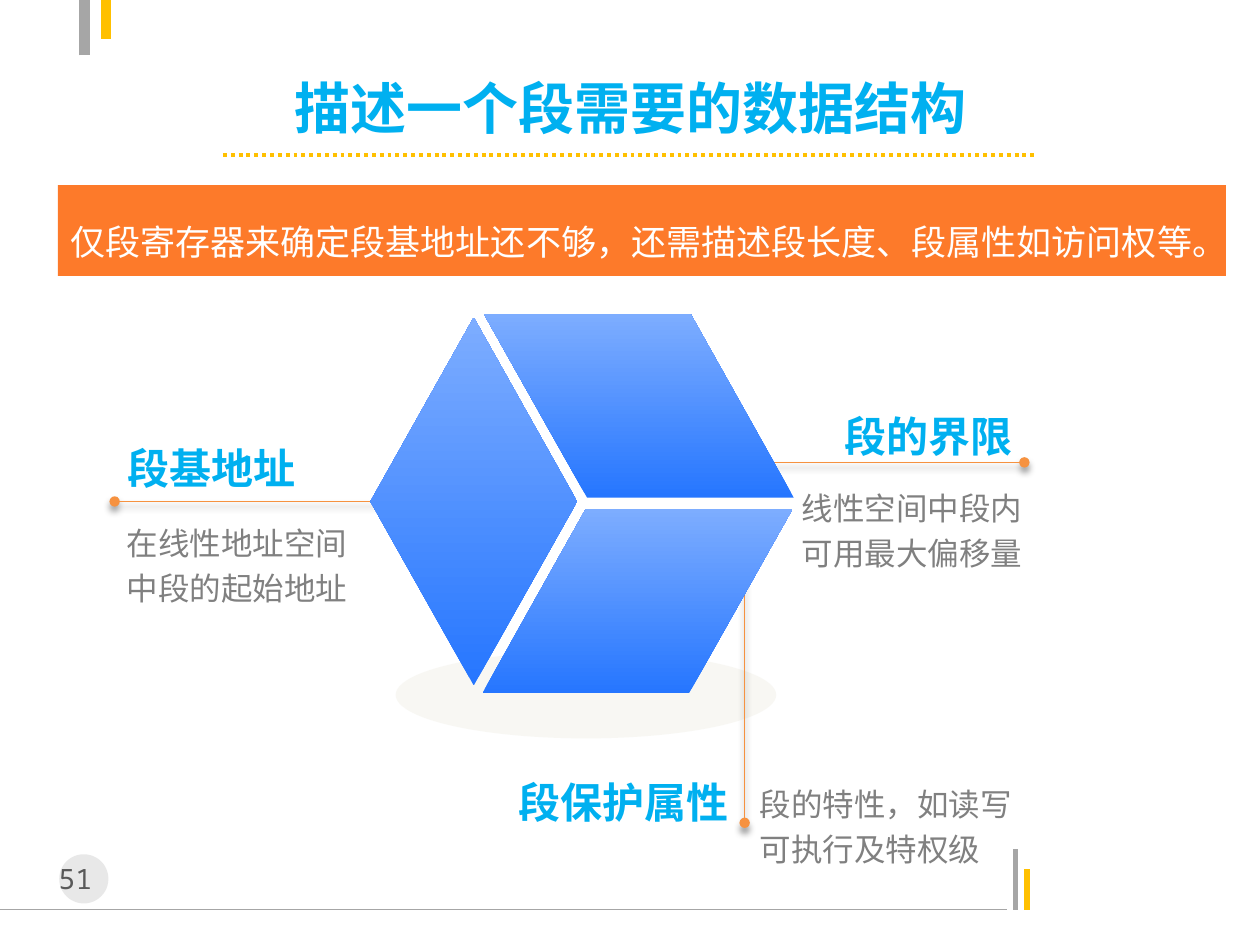
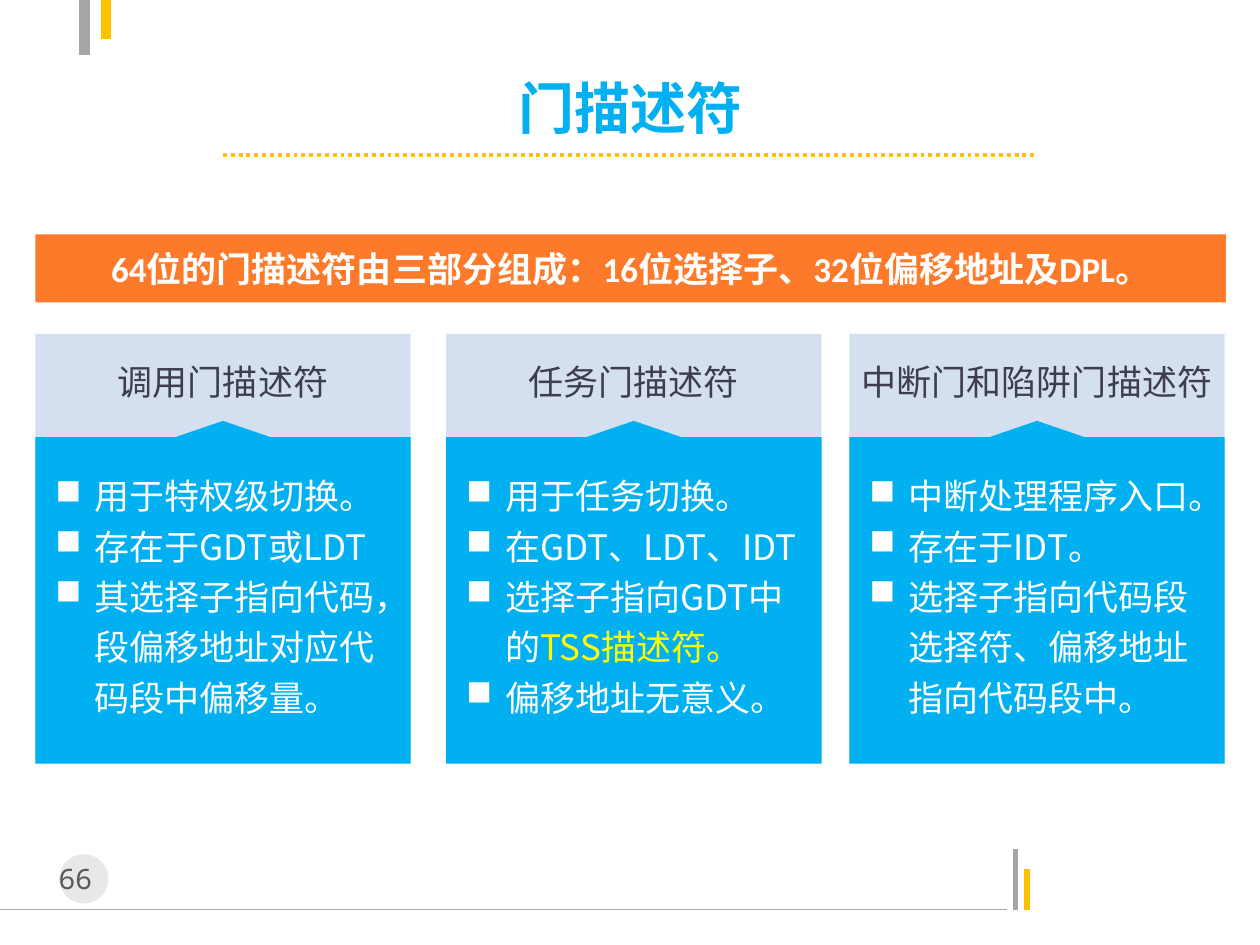
import pptx
import pptx.util
import pptx.dml.color
import pptx.enum.dml
import pptx.enum.shapes
import pptx.enum.text
import pptx.oxml
import pptx.oxml.ns
from lxml import etree

Inches, Pt = pptx.util.Inches, pptx.util.Pt
RGBColor = pptx.dml.color.RGBColor
SHAPE = pptx.enum.shapes.MSO_SHAPE
ALIGN = pptx.enum.text.PP_ALIGN
ANCHOR = pptx.enum.text.MSO_ANCHOR
qn = pptx.oxml.ns.qn

SKY = RGBColor(0x00, 0xB0, 0xF0)
GOLD = RGBColor(0xFF, 0xC0, 0x00)
ORANGE = RGBColor(0xFD, 0x7A, 0x2A)
LEADER = RGBColor(0xF6, 0x92, 0x40)
RULE_GREY = RGBColor(0xA6, 0xA6, 0xA6)
BADGE_GREY = RGBColor(0xBF, 0xBF, 0xBF)
NUMBER_GREY = RGBColor(0x59, 0x59, 0x59)
BODY_GREY = RGBColor(0x80, 0x80, 0x80)
CREAM = RGBColor(0xEE, 0xEC, 0xE1)
STEEL = RGBColor(0x95, 0xB3, 0xD7)
INK = RGBColor(0x3E, 0x3D, 0x4F)
WHITE = RGBColor(0xFF, 0xFF, 0xFF)
YELLOW = RGBColor(0xFF, 0xFF, 0x00)
FACE_DARK = RGBColor(0x26, 0x76, 0xFF)
FACE_LIGHT = RGBColor(0x7D, 0xAD, 0xFF)
CJK, MONO, LATIN = "Noto Sans CJK SC", "Noto Sans Mono", "Calibri"

SHADOW = (
    '<a:effectLst xmlns:a="http://schemas.openxmlformats.org/drawingml/2006/main">'
    '<a:outerShdw blurRad="50800" dist="38100" dir="5400000" rotWithShape="0">'
    '<a:srgbClr val="000000"><a:alpha val="40000"/></a:srgbClr>'
    "</a:outerShdw></a:effectLst>"
)


def style_run(r, size, color, font=CJK, bold=False):
    """Set size, colour, typeface and weight of a run."""
    r.font.size, r.font.bold, r.font.name = Pt(size), bold, font
    r.font.color.rgb = color
    east_asian = etree.SubElement(r.font._element, qn("a:ea"))
    east_asian.set("typeface", CJK)


def write(sp, text, size, color, align=ALIGN.LEFT, spacing=1.0, anchor=ANCHOR.TOP, **look):
    """Write one paragraph into a shape."""
    tf = sp.text_frame
    tf.word_wrap, tf.vertical_anchor = True, anchor
    p = tf.paragraphs[0]
    p.text, p.alignment, p.line_spacing = text, align, spacing
    style_run(p.runs[0], size, color, **look)


def add_text(s, box, text, size, color, **look):
    """Add a text box with one paragraph."""
    write(s.shapes.add_textbox(*map(Inches, box)), text, size, color, **look)


def add_solid(s, kind, box, color, opacity=100):
    """Add a borderless preset shape."""
    sp = s.shapes.add_shape(kind, *map(Inches, box))
    sp.shadow.inherit = False
    sp.line.fill.background()
    sp.fill.solid()
    sp.fill.fore_color.rgb = color
    if opacity < 100:
        rgb = sp._element.spPr.find(qn("a:solidFill"))[0]
        etree.SubElement(rgb, qn("a:alpha")).set("val", str(opacity * 1000))
    return sp


def add_outline(s, left, top, points):
    """Add a borderless closed outline from points relative to left and top."""
    corners = [(Inches(left + x), Inches(top + y)) for x, y in points]
    builder = s.shapes.build_freeform(*corners[0], scale=1.0)
    builder.add_line_segments(corners[1:], close=True)
    sp = builder.convert_to_shape()
    sp.shadow.inherit = False
    sp.line.fill.background()
    return sp


def add_line(s, ends, color, width, leader=False):
    """Add a straight line, with round ends and a shadow for a leader."""
    line = s.shapes.add_connector(pptx.enum.shapes.MSO_CONNECTOR.STRAIGHT, *map(Inches, ends))
    line.line.color.rgb, line.line.width = color, Pt(width)
    spPr = line._element.spPr
    if leader:
        for end in ("a:headEnd", "a:tailEnd"):
            etree.SubElement(spPr.find(qn("a:ln")), qn(end)).set("type", "oval")
        spPr.append(pptx.oxml.parse_xml(SHADOW))
    else:
        etree.SubElement(spPr, qn("a:effectLst"))
    return line


def add_frame(s, number):
    """Draw the corner bars, the footer rule and the page number."""
    for ends, color, width in [
        ((0, 7.22, 7.99, 7.22), RULE_GREY, 0.75),
        ((8.06, 7.22, 8.06, 6.74), RULE_GREY, 3),
        ((8.15, 7.22, 8.15, 6.9), GOLD, 3),
        ((0.67, 0.44, 0.67, 0), RULE_GREY, 6),
        ((0.84, 0, 0.84, 0.31), GOLD, 6),
    ]:
        add_line(s, ends, color, width)
    add_solid(s, SHAPE.OVAL, (0.47, 6.78, 0.39, 0.39), BADGE_GREY, 35)
    add_text(s, (0.31, 6.79, 0.71, 0.37), f"{number} ", 16, NUMBER_GREY,
             align=ALIGN.CENTER, font=MONO)


def add_title(s, text):
    """Write the slide title above its dotted rule."""
    add_text(s, (1.38, 0.6, 7.25, 0.5), text, 32, SKY,
             align=ALIGN.CENTER, anchor=ANCHOR.MIDDLE, bold=True)
    rule = add_line(s, (1.77, 1.23, 8.23, 1.23), GOLD, 2.25)
    rule.line.dash_style = pptx.enum.dml.MSO_LINE.ROUND_DOT


def add_banner(s, box, text, **look):
    """Draw the orange statement band."""
    banner = add_solid(s, SHAPE.RECTANGLE, box, ORANGE)
    write(banner, text, 20, WHITE, anchor=ANCHOR.MIDDLE, **look)


def add_callout(s, line, heading_box, heading, body_box, body, heading_align, body_align):
    """Draw a leader line with its heading and explanation."""
    add_line(s, line, LEADER, 0.75, leader=True)
    add_text(s, heading_box, heading, 24, SKY, align=heading_align, spacing=1.2, bold=True)
    add_text(s, body_box, body, 18, BODY_GREY, align=body_align, spacing=1.2)


def add_cube(s, left, top):
    """Draw the three shaded faces of the cube."""
    slant, edge, rise = 0.82, 1.64, 1.46
    upper = [(0, 0), (slant, rise), (slant + edge, rise), (edge, 0)]
    side = [(0, rise), (slant, 2 * rise), (edge, rise), (slant, 0)]
    lower = [(x, rise - y) for x, y in upper]
    for dx, dy, points in [(0.9, 0, upper), (0, 0.03, side), (0.89, 1.55, lower)]:
        face = add_outline(s, left + dx, top + dy, points)
        face.fill.gradient()
        face.fill.gradient_angle = 90
        for stop, color in zip(face.fill.gradient_stops, (FACE_DARK, FACE_LIGHT)):
            stop.color.rgb = color


def add_bullet(p, runs):
    """Fill a paragraph with a square bullet and coloured runs."""
    p.line_spacing, p.alignment = 1.2, ALIGN.LEFT
    pPr = p._p.get_or_add_pPr()
    pPr.set("marL", str(Inches(0.31)))
    pPr.set("indent", str(-Inches(0.31)))
    etree.SubElement(pPr, qn("a:buChar")).set("char", "■")
    for text, color in runs:
        r = p.add_run()
        r.text = text
        style_run(r, 20, color)


def add_gate_card(s, left, top, heading, bullets):
    """Draw a pale card with a heading and a notched panel of bullets."""
    width, height, panel_top, notch = 2.98, 3.41, 0.69, 0.13
    add_solid(s, SHAPE.RECTANGLE, (left, top, width, height), STEEL, 40)
    bottom = height - panel_top
    panel = add_outline(s, left, top + panel_top, [
        (1.49, 0), (1.87, notch), (width, notch), (width, bottom),
        (0, bottom), (0, notch), (1.11, notch)])
    panel.fill.solid()
    panel.fill.fore_color.rgb = SKY
    tf = panel.text_frame
    tf.word_wrap, tf.vertical_anchor = True, ANCHOR.MIDDLE
    tf.margin_left = tf.margin_right = Inches(0.16)
    for i, runs in enumerate(bullets):
        add_bullet(tf.add_paragraph() if i else tf.paragraphs[0], runs)
    add_text(s, (left, top + 0.16, width, 0.44), heading, 20, INK, align=ALIGN.CENTER)


def build_segment_slide(s):
    """Show the three parts that describe a segment."""
    add_frame(s, 51)
    add_solid(s, SHAPE.OVAL, (3.14, 5.17, 3.02, 0.69), CREAM, 37)
    left, right = ALIGN.LEFT, ALIGN.RIGHT
    add_callout(s, (5.91, 4.22, 5.91, 6.53), (3.99, 6.03, 1.89, 0.54), "段保护属性",
                (5.93, 6.12, 2.29, 0.83), "段的特性，如读写可执行及特权级", right, left)
    add_callout(s, (5.75, 3.67, 8.13, 3.67), (6.24, 3.13, 1.89, 0.54), "段的界限",
                (6.24, 3.77, 1.97, 0.8), "线性空间中段内可用最大偏移量", right, right)
    add_callout(s, (3.19, 3.98, 0.91, 3.98), (0.91, 3.38, 1.89, 0.54), "段基地址",
                (0.91, 4.05, 1.97, 0.83), "在线性地址空间中段的起始地址", left, left)
    add_cube(s, 2.94, 2.49)
    add_title(s, "描述一个段需要的数据结构")
    add_banner(s, (0.46, 1.47, 9.27, 0.72),
               "仅段寄存器来确定段基地址还不够，还需描述段长度、段属性如访问权等。", spacing=1.5)


def build_gate_slide(s):
    """Compare the gate descriptors in three cards."""
    add_frame(s, 66)
    cards = [
        (0.28, "调用门描述符", [
            [("用于特权级切换。", WHITE)],
            [("存在于GDT或LDT", WHITE)],
            [("其选择子指向代码，段偏移地址对应代码段中偏移量。", WHITE)]]),
        (3.54, "任务门描述符", [
            [("用于任务切换。", WHITE)],
            [("在GDT、LDT、IDT", WHITE)],
            [("选择子指向GDT中的", WHITE), ("TSS描述符。", YELLOW)],
            [("偏移地址无意义。", WHITE)]]),
        (6.74, "中断门和陷阱门描述符", [
            [("中断处理程序入口。", WHITE)],
            [("存在于IDT。", WHITE)],
            [("选择子指向代码段选择符、偏移地址指向代码段中。", WHITE)]]),
    ]
    for left, heading, bullets in cards:
        add_gate_card(s, left, 2.65, heading, bullets)
    add_title(s, "门描述符")
    add_banner(s, (0.28, 1.86, 9.45, 0.54),
               "64位的门描述符由三部分组成：16位选择子、32位偏移地址及DPL。",
               align=ALIGN.CENTER, font=LATIN, bold=True)


def main():
    """Build both slides and save them."""
    prs = pptx.Presentation()
    prs.slide_width, prs.slide_height = Inches(10), Inches(7.5)
    for build in (build_segment_slide, build_gate_slide):
        build(prs.slides.add_slide(prs.slide_layouts[6]))
    prs.save("out.pptx")


if __name__ == "__main__":
    main()
